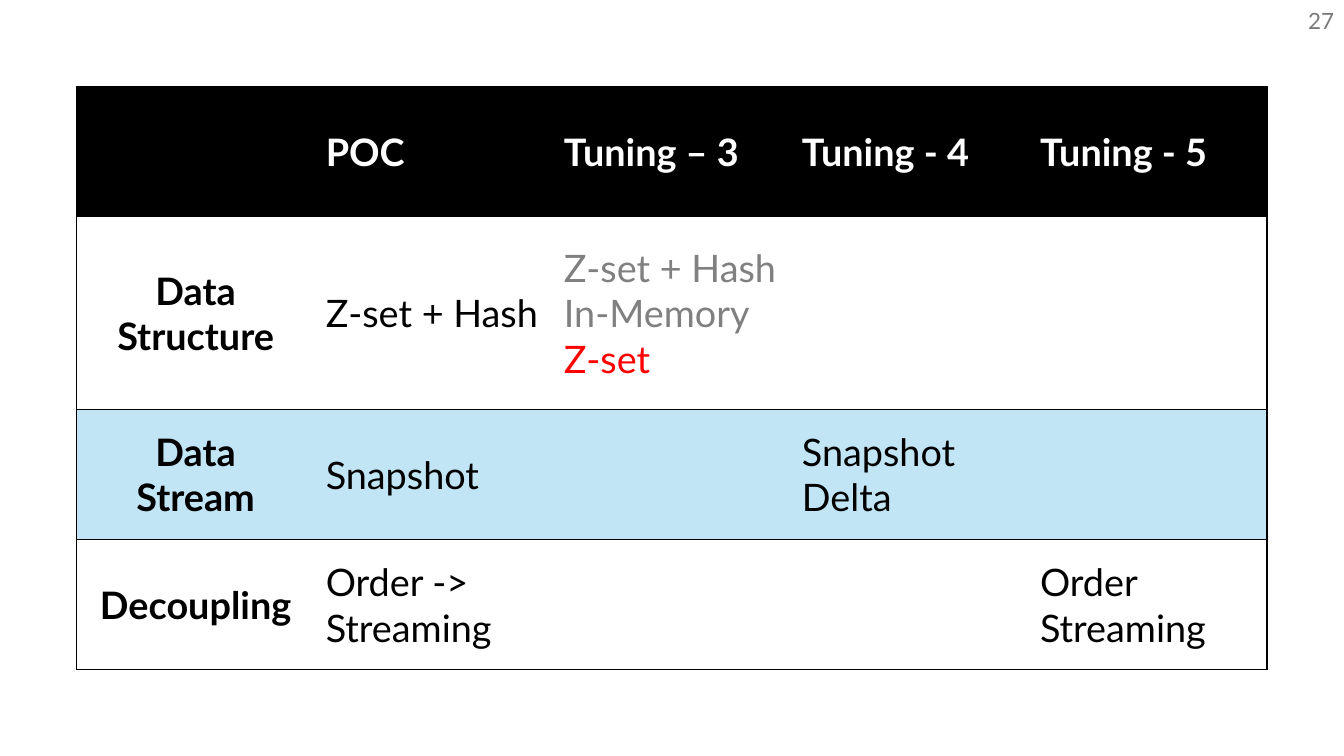
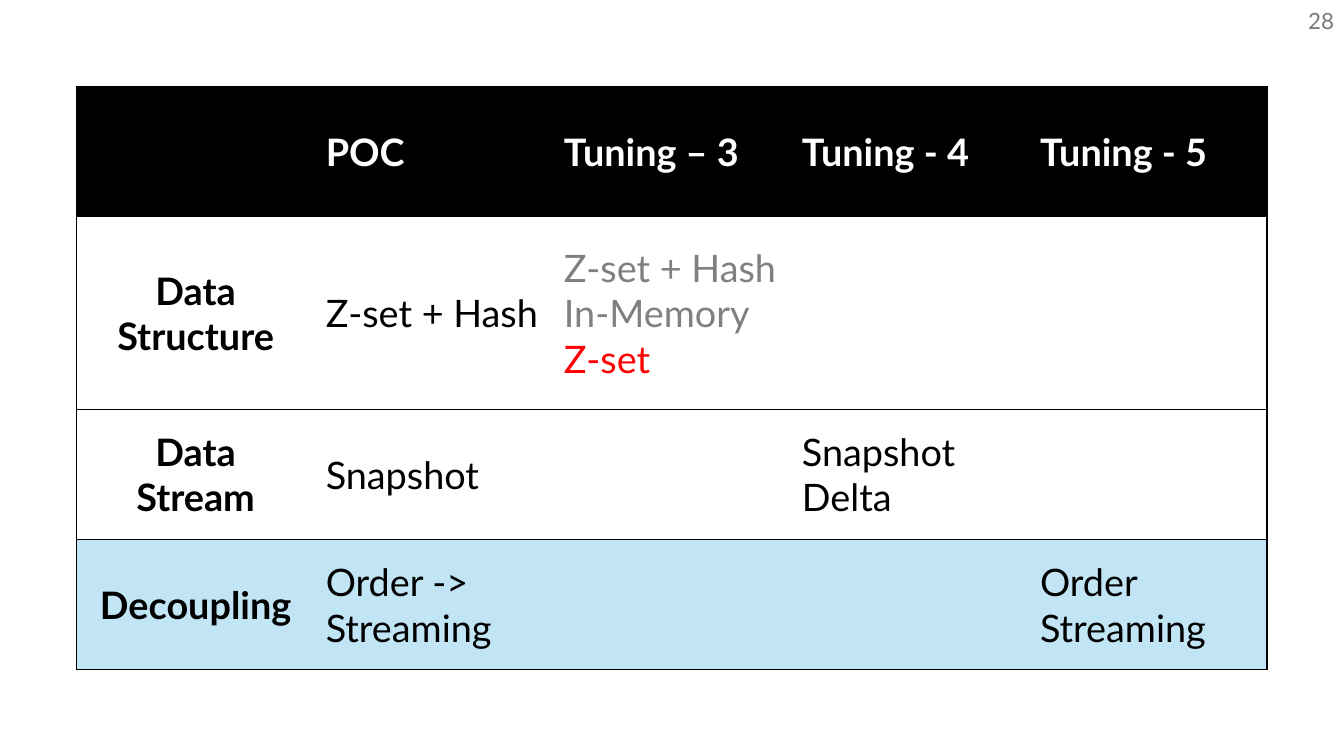
from lxml.etree import SubElement
from pptx import Presentation
from pptx.dml.color import RGBColor
from pptx.enum.text import MSO_ANCHOR, PP_ALIGN
from pptx.oxml.ns import qn
from pptx.util import Cm, Pt

BLACK = RGBColor(0x00, 0x00, 0x00)
WHITE = RGBColor(0xFF, 0xFF, 0xFF)
HIGHLIGHT = RGBColor(0xC1, 0xE5, 0xF5)
GREY = RGBColor(0x80, 0x80, 0x80)
RED = RGBColor(0xFF, 0x00, 0x00)
NUMBER_GREY = RGBColor(0x79, 0x79, 0x79)

FONT = "Lato"
PLAIN_TABLE_STYLE = "{2D5ABB26-0587-4C30-8999-92F81FD0307C}"
BLANK_LAYOUT = 6

SLIDE_WIDTH, SLIDE_HEIGHT = Cm(33.87), Cm(19.05)
TABLE_LEFT, TABLE_TOP = Cm(1.93), Cm(2.18)
COLUMN_WIDTH = Cm(6)
ROW_HEIGHTS = [Cm(3.28), Cm(4.86), Cm(3.28), Cm(3.28)]
NUMBER_BOX = Cm(26.25), Cm(0), Cm(7.62), Cm(1.02)

# Each cell is a list of paragraphs.
ROWS = [
    [[], ["POC"], ["Tuning – 3"], ["Tuning - 4"], ["Tuning - 5"]],
    [["Data Structure"], ["Z-set + Hash"], ["Z-set + Hash", "In-Memory", "Z-set"], [], []],
    [["Data", "Stream"], ["Snapshot"], [], ["Snapshot", "Delta"], []],
    [["Decoupling"], ["Order -> Streaming"], [], [], ["Order", "Streaming"]],
]
STRUCTURE_CHOICE = (1, 2)
CHOICE_COLORS = [GREY, GREY, RED]
# Slide number and the table row highlighted on that slide.
PAGES = [(27, 2), (28, 3)]


def write(frame, lines, size=27, colors=(BLACK,), bold=False, align=PP_ALIGN.LEFT):
    """Fill the frame with one paragraph per line; the last colour repeats."""
    for index, line in enumerate(lines):
        para = frame.paragraphs[0] if index == 0 else frame.add_paragraph()
        para.alignment = align
        span = para.add_run()
        span.text = line
        span.font.name = FONT
        span.font.size = Pt(size)
        span.font.bold = bold
        span.font.color.rgb = colors[min(index, len(colors) - 1)]


def draw_borders(cell, sides):
    properties = cell._tc.get_or_add_tcPr()
    for side in "LRTB":
        if side in sides:
            line = SubElement(properties, qn(f"a:ln{side}"), w=str(Pt(1)))
            fill = SubElement(line, qn("a:solidFill"))
            SubElement(fill, qn("a:srgbClr"), val=str(BLACK))


def format_cell(cell, lines, row, column, highlighted):
    is_header = row == 0
    is_label = column == 0
    left = "L" if is_label else ""
    right = "R" if column == len(ROWS[0]) - 1 else ""
    draw_borders(cell, left + right + "TB")

    cell.fill.solid()
    cell.fill.fore_color.rgb = BLACK if is_header else HIGHLIGHT if highlighted else WHITE
    cell.vertical_anchor = MSO_ANCHOR.MIDDLE
    cell.margin_left = cell.margin_right = Cm(0.28)
    cell.margin_top = cell.margin_bottom = Cm(0.15)

    if (row, column) == STRUCTURE_CHOICE:
        colors = CHOICE_COLORS
    else:
        colors = [WHITE if is_header else BLACK]
    write(cell.text_frame, lines, colors=colors, bold=is_header or is_label,
          align=PP_ALIGN.CENTER if is_label else PP_ALIGN.LEFT)


def add_tuning_table(page, left, top, highlighted_row):
    columns = len(ROWS[0])
    frame = page.shapes.add_table(len(ROWS), columns, left, top,
                                  COLUMN_WIDTH * columns, sum(ROW_HEIGHTS))
    frame.element.find(".//" + qn("a:tableStyleId")).text = PLAIN_TABLE_STYLE
    table = frame.table
    table.horz_banding = False
    for column in table.columns:
        column.width = COLUMN_WIDTH
    for row, (height, cells) in enumerate(zip(ROW_HEIGHTS, ROWS)):
        table.rows[row].height = height
        for column, lines in enumerate(cells):
            format_cell(table.cell(row, column), lines, row, column, row == highlighted_row)


def add_page_number(page, number):
    frame = page.shapes.add_textbox(*NUMBER_BOX).text_frame
    frame.word_wrap = True
    frame.vertical_anchor = MSO_ANCHOR.MIDDLE
    write(frame, [str(number)], size=16, colors=[NUMBER_GREY], align=PP_ALIGN.RIGHT)


def main():
    deck = Presentation()
    deck.slide_width, deck.slide_height = SLIDE_WIDTH, SLIDE_HEIGHT
    for number, highlighted_row in PAGES:
        page = deck.slides.add_slide(deck.slide_layouts[BLANK_LAYOUT])
        add_tuning_table(page, TABLE_LEFT, TABLE_TOP, highlighted_row)
        add_page_number(page, number)
    deck.save("out.pptx")


if __name__ == "__main__":
    main()
